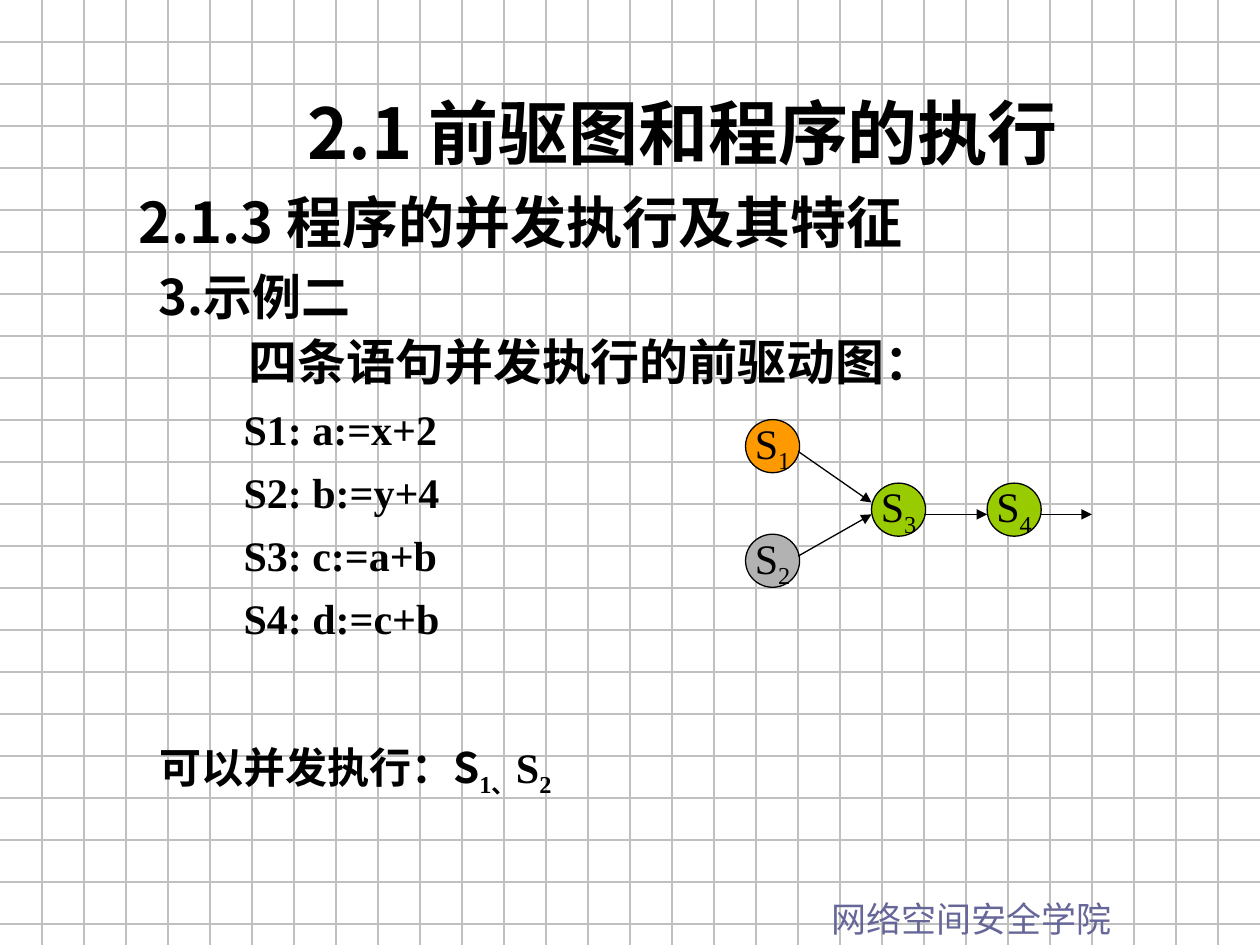
from dataclasses import dataclass

from lxml import etree
from pptx import Presentation
from pptx.dml.color import RGBColor
from pptx.enum.shapes import MSO_CONNECTOR, MSO_SHAPE
from pptx.enum.text import MSO_ANCHOR, MSO_AUTO_SIZE, PP_ALIGN
from pptx.oxml.ns import qn
from pptx.util import Cm, Pt

STRAIGHT = MSO_CONNECTOR.STRAIGHT
OVAL = MSO_SHAPE.OVAL
MIDDLE = MSO_ANCHOR.MIDDLE
LEFT, CENTER = PP_ALIGN.LEFT, PP_ALIGN.CENTER
GROW, FIXED = MSO_AUTO_SIZE.SHAPE_TO_FIT_TEXT, MSO_AUTO_SIZE.NONE

SLIDE_WIDTH, SLIDE_HEIGHT = 25.4, 19.05
GRID_STEP = 2.54 / 3
NODE_WIDTH, NODE_HEIGHT = 1.09, 1.07


@dataclass(frozen=True)
class Theme:
    background: str = "FFFFFF"
    ink: str = "000000"
    grid: str = "C0C0C0"
    footer: str = "666699"
    orange: str = "FF9900"
    gray: str = "B2B2B2"
    green: str = "99CC00"
    serif: str = "Times New Roman"
    sans: str = "Noto Sans CJK SC"
    sans_title: str = "Noto Sans CJK JP"
    title_size: int = 40
    section_size: int = 32
    heading_size: int = 28
    body_size: int = 24
    footer_size: int = 20
    line_width: float = 0.75


THEME = Theme()


@dataclass(frozen=True)
class TextRun:
    text: str
    size: int = THEME.body_size
    font: str = THEME.serif
    east_asian: str = THEME.sans
    color: str = THEME.ink
    bold: bool = True
    subscript: bool = False


@dataclass(frozen=True)
class TextLine:
    runs: tuple[TextRun, ...]
    indent: float = 0
    before: float = 0
    spacing: float = 1
    align: PP_ALIGN = LEFT


@dataclass(frozen=True)
class TextBlock:
    left: float
    top: float
    width: float
    height: float
    lines: tuple[TextLine, ...]
    auto_size: MSO_AUTO_SIZE = GROW


@dataclass(frozen=True)
class Node:
    left: float
    top: float
    number: str
    color: str


@dataclass(frozen=True)
class Line:
    start: tuple[float, float]
    end: tuple[float, float]
    color: str = THEME.ink
    arrow: bool = True


def write_lines(frame, lines: tuple[TextLine, ...]) -> None:
    for index, line in enumerate(lines):
        paragraph = frame.add_paragraph() if index else frame.paragraphs[0]
        paragraph.alignment = line.align
        paragraph.line_spacing = line.spacing
        if line.before:
            paragraph.space_before = Pt(line.before)
        if line.indent:
            paragraph._p.get_or_add_pPr().set("marL", str(Cm(line.indent)))
        for item in line.runs:
            run = paragraph.add_run()
            run.text = item.text
            run.font.size = Pt(item.size)
            run.font.bold = item.bold
            run.font.color.rgb = RGBColor.from_string(item.color)
            run.font.name = item.font
            properties = run._r.get_or_add_rPr()
            etree.SubElement(properties, qn("a:ea"), typeface=item.east_asian)
            if item.subscript:
                properties.set("baseline", "-25000")


def draw_text(slide, block: TextBlock) -> None:
    box = slide.shapes.add_textbox(
        Cm(block.left), Cm(block.top), Cm(block.width), Cm(block.height))
    box.text_frame.word_wrap = True
    box.text_frame.auto_size = block.auto_size
    write_lines(box.text_frame, block.lines)


def draw_node(slide, node: Node) -> None:
    shape = slide.shapes.add_shape(
        OVAL, Cm(node.left), Cm(node.top), Cm(NODE_WIDTH), Cm(NODE_HEIGHT))
    shape.shadow.inherit = False
    shape.fill.solid()
    shape.fill.fore_color.rgb = RGBColor.from_string(node.color)
    shape.line.color.rgb = RGBColor.from_string(THEME.ink)
    shape.line.width = Pt(THEME.line_width)
    shape.text_frame.word_wrap = False
    shape.text_frame.vertical_anchor = MIDDLE
    runs = (TextRun("S", bold=False), TextRun(node.number, bold=False, subscript=True))
    write_lines(shape.text_frame, (TextLine(runs, align=CENTER),))


def draw_line(slide, line: Line) -> None:
    connector = slide.shapes.add_connector(
        STRAIGHT, *(Cm(value) for value in line.start + line.end))
    connector.line.color.rgb = RGBColor.from_string(line.color)
    connector.line.width = Pt(THEME.line_width)
    if line.arrow:
        etree.SubElement(connector.line._get_or_add_ln(), qn("a:tailEnd"), type="triangle")
    etree.SubElement(connector._element.spPr, qn("a:effectLst"))


def draw_grid(slide) -> None:
    for row in range(1, 23):
        y = row * GRID_STEP
        draw_line(slide, Line((0, y), (SLIDE_WIDTH, y), THEME.grid, False))
    for column in range(1, 30):
        x = column * GRID_STEP
        draw_line(slide, Line((x, 0), (x, SLIDE_HEIGHT), THEME.grid, False))


# Text
FOOTER = TextBlock(16.51, 17.96, 8.89, 1.12, (TextLine((
    TextRun("网络空间安全学院", THEME.footer_size, THEME.sans_title, THEME.sans_title,
            THEME.footer, bold=False),)),))
OUTLINE = TextBlock(2.54, 3.39, 21.79, 3.3, (
    TextLine((TextRun("2.1.3 ", THEME.section_size, THEME.sans),
              TextRun("程序的并发执行及其特征", THEME.section_size)), spacing=1.2),
    TextLine((TextRun("3.", THEME.heading_size, THEME.sans),
              TextRun("示例二", THEME.heading_size)), indent=0.41, spacing=1.2)))
TITLE = TextBlock(3.6, 1.69, 20.32, 1.96, (TextLine((
    TextRun("2.1 前驱图和程序的执行", THEME.title_size, THEME.sans_title,
            THEME.sans_title),), align=CENTER),))
STATEMENTS = ("S1: a:=x+2", "S2: b:=y+4", "S3: c:=a+b", "S4: d:=c+b")
BODY = TextBlock(2.12, 6.56, 22.23, 7.2, (
    TextLine((TextRun("四条语句并发执行的前驱动图：", THEME.heading_size),), indent=2.64),
    *(TextLine((TextRun(text),), indent=2.54, before=7.2) for text in STATEMENTS)), FIXED)
CONCLUSION = TextBlock(2.96, 14.82, 20.52, 1.42, (TextLine((
    TextRun("可以并发执行："), TextRun("S", font=THEME.sans),
    TextRun("1、", subscript=True), TextRun("S"), TextRun("2", subscript=True))),))

# Precedence graph
NODES = (
    Node(15.03, 8.46, "1", THEME.orange),
    Node(15.03, 10.77, "2", THEME.gray),
    Node(17.57, 9.74, "3", THEME.green),
    Node(19.9, 9.74, "4", THEME.green),
)
ARROWS = (
    Line((16.09, 11.21), (17.57, 10.37)),
    Line((18.63, 10.37), (19.9, 10.37)),
    Line((16.09, 9.1), (17.57, 10.13)),
    Line((20.96, 10.37), (22.01, 10.37)),
)


def main() -> None:
    presentation = Presentation()
    presentation.slide_width = Cm(SLIDE_WIDTH)
    presentation.slide_height = Cm(SLIDE_HEIGHT)
    slide = presentation.slides.add_slide(presentation.slide_layouts[6])
    slide.background.fill.solid()
    slide.background.fill.fore_color.rgb = RGBColor.from_string(THEME.background)
    draw_grid(slide)
    for block in (FOOTER, OUTLINE, TITLE, BODY, CONCLUSION):
        draw_text(slide, block)
    for node in NODES:
        draw_node(slide, node)
    for arrow in ARROWS:
        draw_line(slide, arrow)
    presentation.save("out.pptx")


if __name__ == "__main__":
    main()
